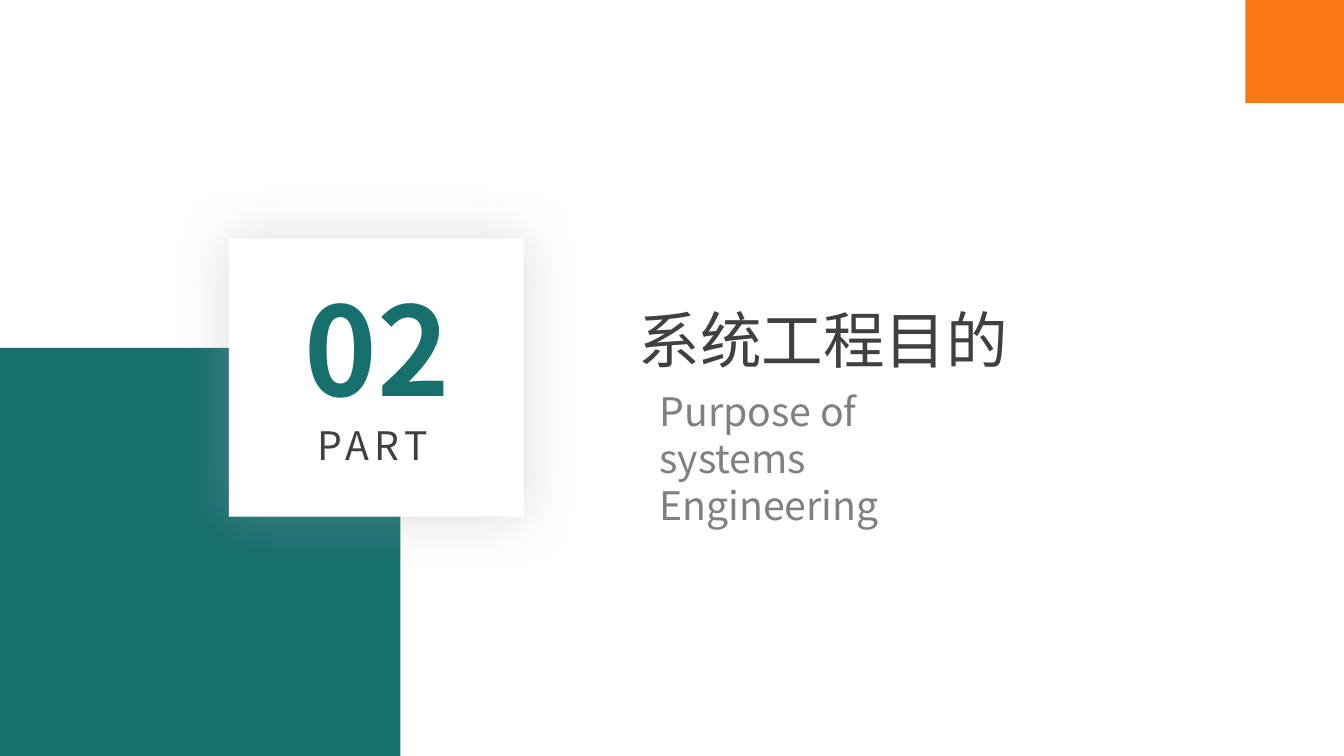
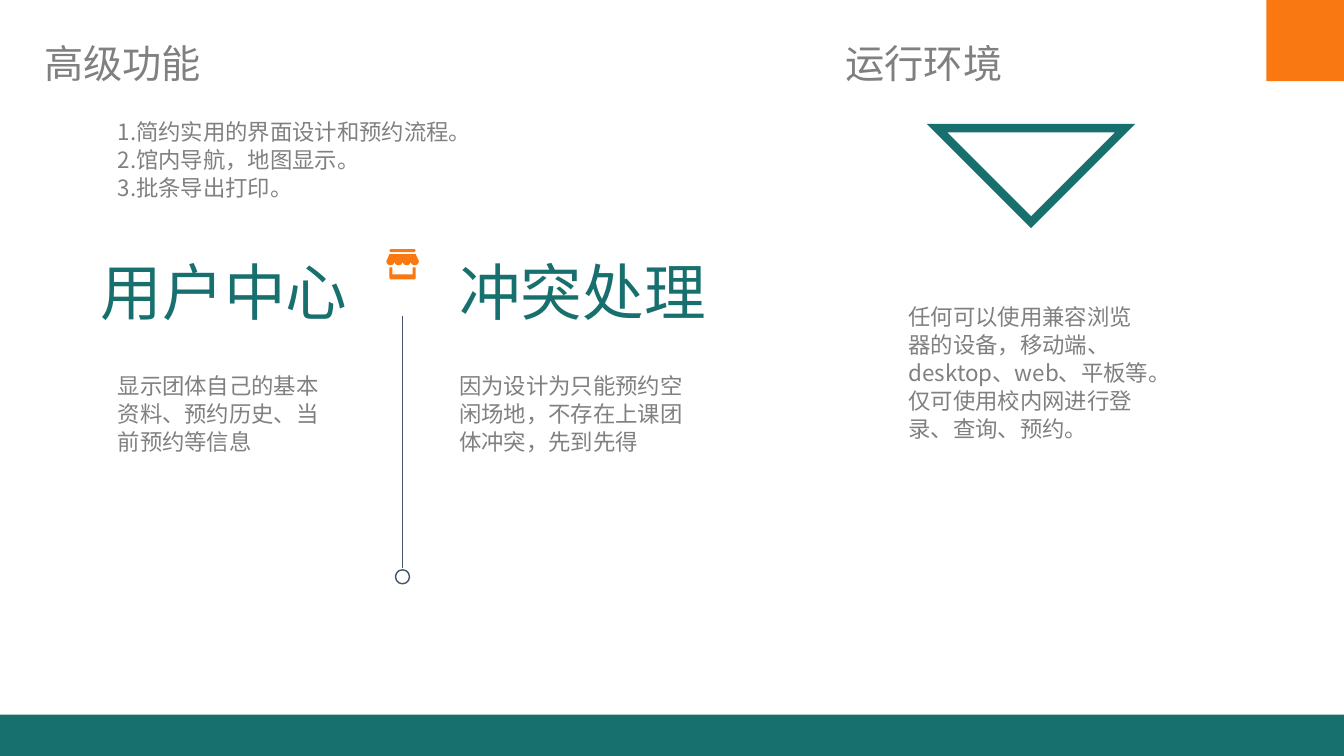
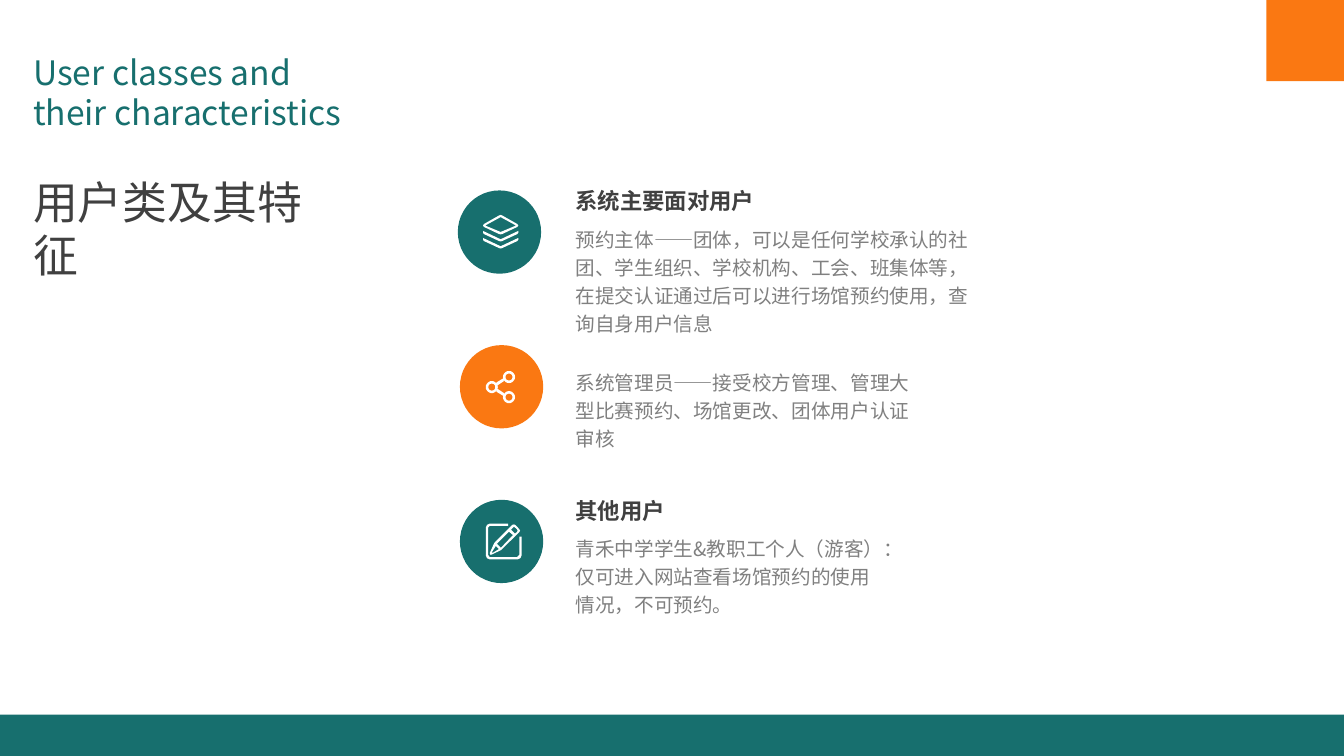
"""Build three slides on the goals, functions and users of a booking system."""
import math

from lxml import etree
from pptx import Presentation
from pptx.dml.color import RGBColor
from pptx.enum.shapes import MSO_CONNECTOR, MSO_SHAPE
from pptx.oxml.ns import qn
from pptx.util import Pt

RECTANGLE = MSO_SHAPE.RECTANGLE
OVAL = MSO_SHAPE.OVAL
RIGHT_TRIANGLE = MSO_SHAPE.RIGHT_TRIANGLE
STRAIGHT = MSO_CONNECTOR.STRAIGHT

PAGE_WIDTH, PAGE_HEIGHT = 960, 540
FONT = "Noto Sans CJK SC"
TITLE_FONT = "Noto Sans CJK JP"
TEAL, ORANGE, WHITE = "176F6E", "FA7812", "FFFFFF"
DARK, GRAY, SLATE, SHADOW = "404040", "808080", "44546A", "A6A6A6"
BODY_LEADING = 20
ICON_UNIT = 0.1  # icon outlines are given in tenths of a point


def color(value):
    """Turn a hex string into a colour."""
    return RGBColor.from_string(value)


def add_box(page, kind, left, top, width, height, fill=None, line=None, weight=1):
    """Add a flat preset shape with an optional fill and outline."""
    box = page.shapes.add_shape(kind, Pt(left), Pt(top), Pt(width), Pt(height))
    box.shadow.inherit = False
    if fill:
        box.fill.solid()
        box.fill.fore_color.rgb = color(fill)
    else:
        box.fill.background()
    if line:
        box.line.color.rgb = color(line)
        box.line.width = Pt(weight)
    else:
        box.line.fill.background()
    return box


def add_glow(box, tint, blur, alpha):
    """Give a shape a soft shadow on all sides; alpha is in percent."""
    effects = box._element.spPr.find(qn("a:effectLst"))
    shadow = etree.SubElement(effects, qn("a:outerShdw"), blurRad=str(Pt(blur)),
                              dist="0", dir="0", algn="ctr", rotWithShape="0")
    tone = etree.SubElement(shadow, qn("a:srgbClr"), val=tint)
    etree.SubElement(tone, qn("a:alpha"), val=str(alpha * 1000))


def add_line(page, start, end, tint, weight):
    """Add a straight line without a shadow."""
    line = page.shapes.add_connector(STRAIGHT, *map(Pt, start + end))
    line.line.color.rgb = color(tint)
    line.line.width = Pt(weight)
    etree.SubElement(line._element.spPr, qn("a:effectLst"))


def add_text(page, left, top, width, height, lines, size, tint, bold=False,
             leading=None, tracking=0, font=FONT):
    """Add a text box with one paragraph for each line."""
    box = page.shapes.add_textbox(Pt(left), Pt(top), Pt(width), Pt(height))
    frame = box.text_frame
    frame.word_wrap = True
    frame.text = "\n".join(lines)
    for para in frame.paragraphs:
        if leading:
            para.line_spacing = Pt(leading)
        para.font.name = font
        para.font.size = Pt(size)
        para.font.bold = bold
        para.font.color.rgb = color(tint)
        defaults = para._p.pPr.find(qn("a:defRPr"))
        etree.SubElement(defaults, qn("a:ea"), typeface=font)
        if tracking:
            defaults.set("spc", str(tracking * 100))


def add_body(page, left, top, width, height, lines, size=16):
    """Add gray running text with fixed leading."""
    add_text(page, left, top, width, height, lines, size, GRAY, leading=BODY_LEADING)


def add_icon(page, left, top, contours, fill):
    """Draw closed contours as one filled outline; inner contours are holes."""
    builder = page.shapes.build_freeform(*contours[0][0], scale=Pt(ICON_UNIT))
    for number, contour in enumerate(contours):
        if number:
            builder.move_to(*contour[0])
        builder.add_line_segments(contour[1:], close=True)
    icon = builder.convert_to_shape(Pt(left), Pt(top))
    icon.shadow.inherit = False
    icon.fill.solid()
    icon.fill.fore_color.rgb = color(fill)
    icon.line.fill.background()


def arc(center_x, center_y, radius, sweep=360):
    """List points on an arc that starts at the right and runs clockwise."""
    return [(center_x + radius * math.cos(math.radians(angle)),
             center_y + radius * math.sin(math.radians(angle)))
            for angle in range(0, sweep + 1, 15)]


def shop_contours():
    """Outline a market stall: roof, scalloped awning and counter."""
    roof = [(29, 0), (202, 0), (210, 11), (202, 22), (29, 22), (22, 11)]
    awning = [(22, 36), (210, 36)]
    for center in (203, 145, 87, 29):
        awning += arc(center, 86, 29, 180)
    counter = [(22, 130), (43, 130), (43, 180), (188, 180), (188, 130),
               (210, 130), (210, 206), (202, 216), (29, 216), (22, 206)]
    return [roof, awning, counter]


def layer_contours():
    """Outline a stack of three sheets."""
    sheet = [(7, 65), (115, 4), (126, 0), (137, 4), (245, 65), (252, 76),
             (245, 86), (137, 137), (126, 139), (115, 137), (7, 86), (0, 76)]
    hole = [(126, 16), (236, 76), (126, 122), (16, 76)]
    edge = [(0, 115), (16, 122), (126, 174), (236, 122), (252, 115), (252, 128),
            (245, 137), (137, 187), (126, 190), (115, 187), (7, 137), (0, 128)]
    lower_edge = [(x, y + 50) for x, y in edge]
    return [sheet, hole, edge, lower_edge]


def share_contours():
    """Outline three rings joined by two bars."""
    rings = [arc(x, y, radius)
             for x, y in ((43, 115), (166, 43), (166, 187)) for radius in (43, 25)]
    bar = [(76, 82), (122, 54), (130, 72), (86, 101)]
    lower_bar = [(x, 230 - y) for x, y in bar]
    return rings + [bar, lower_bar]


def edit_contours():
    """Outline a pencil on an open square frame."""
    frame = [(240, 94), (240, 223), (223, 240), (29, 240), (16, 223), (16, 29),
             (29, 16), (160, 16), (160, 0), (29, 0), (9, 9), (0, 29), (0, 227),
             (9, 247), (29, 256), (227, 256), (247, 247), (256, 227), (256, 94)]
    pencil = [(58, 144), (29, 209), (31, 221), (38, 223), (108, 190), (117, 182),
              (238, 62), (245, 52), (240, 40), (211, 9), (200, 6), (189, 9), (65, 133)]
    eraser = [(194, 29), (202, 22), (210, 29), (224, 43), (228, 50), (224, 58),
              (209, 72), (180, 43)]
    shaft = [(166, 58), (194, 82), (108, 173), (80, 144)]
    tip = [(94, 182), (50, 209), (43, 205), (72, 160)]
    return [frame, pencil, eraser, shaft, tip]


def add_corner(page, width, height):
    """Add the orange block in the top right corner."""
    add_box(page, RECTANGLE, PAGE_WIDTH - width, 0, width, height, ORANGE)


def add_page(deck):
    """Add a blank page."""
    return deck.slides.add_slide(deck.slide_layouts[6])


def add_content_page(deck):
    """Add a page with the teal footer band and the corner block."""
    page = add_page(deck)
    add_box(page, RECTANGLE, 0, 510.5, PAGE_WIDTH, 29.5, TEAL)
    add_corner(page, 55.5, 58)
    return page


def build_section(deck):
    """Build the section opener."""
    page = add_page(deck)
    add_box(page, RECTANGLE, 0, 248.5, 286, 291.5, TEAL)
    card = add_box(page, RECTANGLE, 163.5, 170.5, 210.5, 198.5, WHITE)
    add_glow(card, SHADOW, blur=40, alpha=40)
    add_corner(page, 70.5, 73.5)
    add_text(page, 210.5, 191.5, 126, 114, ["02"], 88, TEAL, bold=True)
    add_text(page, 219.5, 297.5, 107.5, 41, ["PART"], 28, DARK, tracking=4)
    add_text(page, 449, 212, 361.5, 60.5, ["系统工程目的"], 44, DARK, font=TITLE_FONT)
    add_text(page, 464, 273, 264, 42.5, ["Purpose of systems Engineering"], 28, GRAY)


def build_functions(deck):
    """Build the page on advanced functions and the running environment."""
    page = add_content_page(deck)
    for left, heading in ((24.5, "高级功能"), (597, "运行环境")):
        add_text(page, left, 24.5, 279.5, 42.5, [heading], 28, GRAY)
    for left, heading in ((65, "用户中心"), (321, "冲突处理")):
        add_text(page, left, 178, 200, 60.5, [heading], 44, TEAL)

    add_body(page, 77, 80, 363, 67.5,
             ["1.简约实用的界面设计和预约流程。", "2.馆内导航，地图显示。", "3.批条导出打印。"])
    add_body(page, 77, 261.5, 173.5, 67.5,
             ["显示团体自己的基本资料、预约历史、当前预约等信息"])
    add_body(page, 321, 261.5, 188.5, 67.5,
             ["因为设计为只能预约空闲场地，不存在上课团体冲突，先到先得"])
    add_body(page, 642, 212, 188.5, 108,
             ["任何可以使用兼容浏览器的设备，移动端、desktop、web、平板等。",
              "仅可使用校内网进行登录、查询、预约。"])

    add_line(page, (287.5, 226), (287.5, 405.5), SLATE, 0.5)
    add_box(page, OVAL, 282.5, 407, 10, 10, line=SLATE)
    add_icon(page, 276, 178, shop_contours(), ORANGE)

    triangle = add_box(page, RIGHT_TRIANGLE, 689, 44, 95, 95, line=TEAL, weight=6)
    triangle.rotation = 315
    outline = triangle._element.spPr.find(qn("a:ln"))
    etree.SubElement(outline, qn("a:miter"), lim="800000")


def build_users(deck):
    """Build the page on user classes."""
    page = add_content_page(deck)
    add_text(page, 16.5, 33.5, 250.5, 24.5, ["User classes and their characteristics"],
             24, TEAL)
    add_text(page, 16.5, 121, 234, 46, ["用户类及其特征"], 32, DARK)

    badges = ((327, TEAL, 345, 153.5, layer_contours()),
              (328.5, ORANGE, 347, 265, share_contours()),
              (328.5, TEAL, 347, 374, edit_contours()))
    for row, (left, fill, icon_left, icon_top, contours) in enumerate(badges):
        add_box(page, OVAL, left, 136 + 110.5 * row, 59.5, 59.5, fill)
        add_icon(page, icon_left, icon_top, contours, WHITE)

    for top, heading in ((130, "系统主要面对用户"), (351.5, "其他用户")):
        add_text(page, 404, top, 159, 26.5, [heading], 16, DARK, bold=True)
    descriptions = (
        (156, 301, "预约主体——团体，可以是任何学校承认的社团、学生组织、学校机构、工会、"
                   "班集体等，在提交认证通过后可以进行场馆预约使用，查询自身用户信息"),
        (258.5, 256.5, "系统管理员——接受校方管理、管理大型比赛预约、场馆更改、团体用户认证审核"),
        (377, 236, "青禾中学学生&教职工个人（游客）：仅可进入网站查看场馆预约的使用情况，不可预约。"),
    )
    for top, width, text in descriptions:
        add_body(page, 404, top, width, 67.5, [text], size=14)


def main():
    """Build the deck and save it."""
    deck = Presentation()
    deck.slide_width, deck.slide_height = Pt(PAGE_WIDTH), Pt(PAGE_HEIGHT)
    build_section(deck)
    build_functions(deck)
    build_users(deck)
    deck.save("out.pptx")


main()
